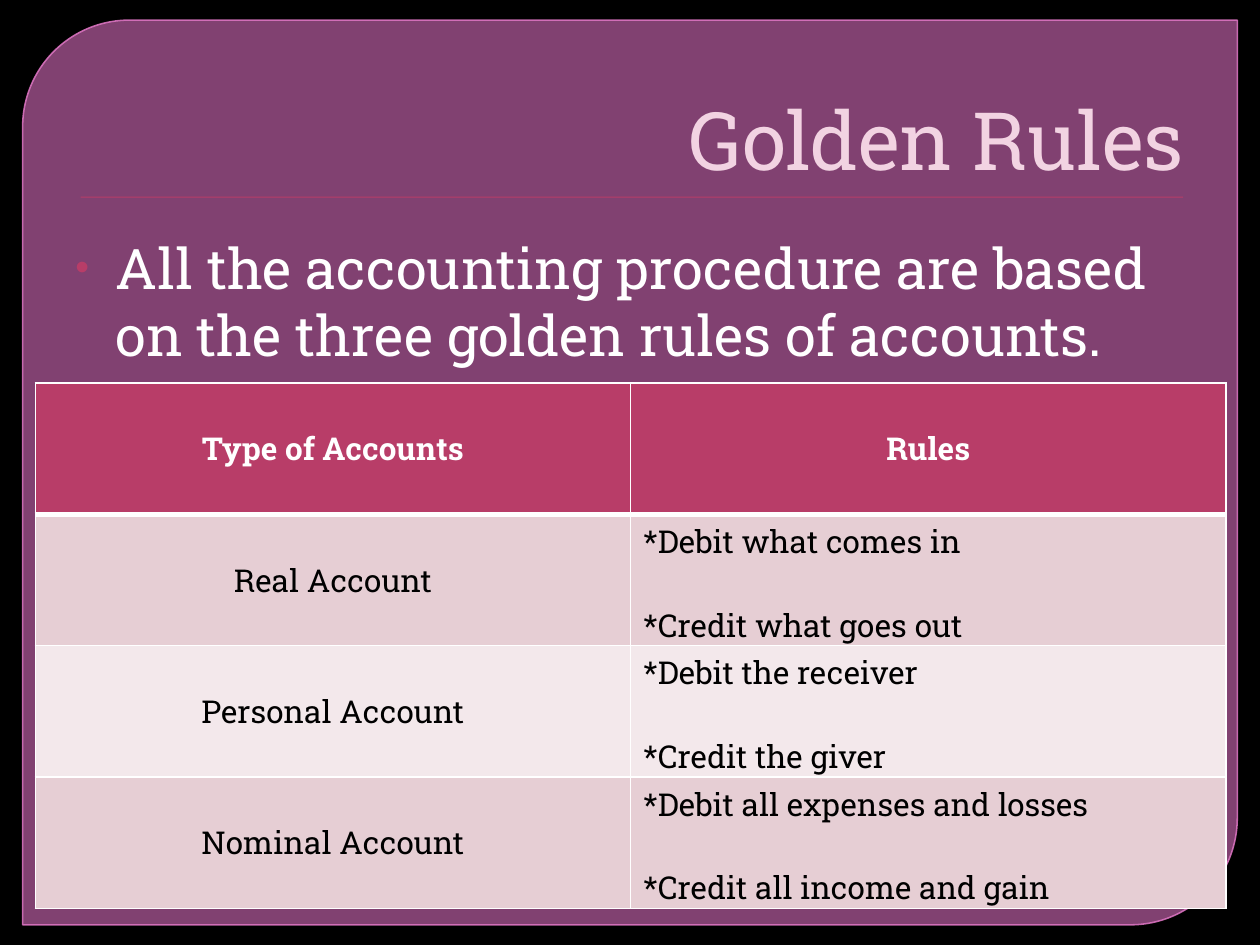
from dataclasses import dataclass

from lxml import etree
from pptx import Presentation
from pptx.dml.color import RGBColor
from pptx.enum.shapes import MSO_SHAPE
from pptx.enum.text import MSO_ANCHOR, MSO_AUTO_SIZE, PP_ALIGN
from pptx.oxml.ns import qn
from pptx.util import Inches, Pt

RECTANGLE = MSO_SHAPE.RECTANGLE
DIAGONAL_ROUNDED = MSO_SHAPE.ROUND_2_DIAG_RECTANGLE
LEFT, CENTER, RIGHT = PP_ALIGN.LEFT, PP_ALIGN.CENTER, PP_ALIGN.RIGHT
TOP, MIDDLE, BOTTOM = MSO_ANCHOR.TOP, MSO_ANCHOR.MIDDLE, MSO_ANCHOR.BOTTOM
NO_AUTOFIT = MSO_AUTO_SIZE.NONE
TITLE_ONLY = 5


@dataclass(frozen=True)
class Theme:
    font: str = "Roboto Slab"
    background: str = "000000"
    panel: str = "C764AF"
    panel_line: str = "DD75C2"
    accent: str = "B83D68"
    title: str = "F2D3E2"
    light: str = "FFFFFF"
    dark: str = "000000"
    bands: tuple = ("E6CED4", "F3E8EB")
    title_size: int = 46
    body_size: int = 32
    table_size: int = 18
    rule_gap: int = 24


def add_element(parent, tag, **attributes):
    """Append an XML child with the given attributes."""
    values = {name: str(value) for name, value in attributes.items()}
    return etree.SubElement(parent, qn(tag), values)


def set_opacity(color_format, percent):
    color = color_format._xFill.find(qn("a:srgbClr"))
    add_element(color, "a:alpha", val=percent * 1000)


class SlideBuilder:
    def __init__(self, presentation, theme):
        self.theme = theme
        self.slide = presentation.slides.add_slide(
            presentation.slide_layouts[TITLE_ONLY])
        fill = self.slide.background.fill
        fill.solid()
        fill.fore_color.rgb = RGBColor.from_string(theme.background)

    def format_text(self, paragraph, size, color, align=LEFT, bold=False):
        paragraph.alignment = align
        for run in paragraph.runs:
            run.font.name = self.theme.font
            run.font.size = Pt(size)
            run.font.bold = bold
            run.font.color.rgb = RGBColor.from_string(color)

    def add_shape(self, kind, box, color):
        shape = self.slide.shapes.add_shape(kind, *map(Inches, box))
        shape.shadow.inherit = False
        shape.fill.solid()
        shape.fill.fore_color.rgb = RGBColor.from_string(color)
        shape.line.fill.background()
        return shape

    def add_panel(self, box):
        shape = self.add_shape(DIAGONAL_ROUNDED, box, self.theme.panel)
        shape.adjustments[0] = 0.118
        shape.adjustments[1] = 0
        shape.line.width = Pt(0.87)
        shape.line.fill.solid()
        shape.line.color.rgb = RGBColor.from_string(self.theme.panel_line)
        properties = shape._element.spPr
        line = properties.find(qn("a:ln"))
        for parent, percent in ((properties, 65), (line, 88)):
            color = parent.find(qn("a:solidFill")).find(qn("a:srgbClr"))
            add_element(color, "a:alpha", val=percent * 1000)

    def add_divider(self, box):
        shape = self.add_shape(RECTANGLE, box, self.theme.accent)
        effects = shape._element.spPr.find(qn("a:effectLst"))
        shadow = add_element(effects, "a:outerShdw", blurRad=Pt(1),
                             dist=Pt(1), dir=90 * 60000, rotWithShape=0)
        color = add_element(shadow, "a:srgbClr", val="000000")
        add_element(color, "a:alpha", val=75000)

    def add_title(self, text, box):
        title = self.slide.shapes.title
        title.left, title.top, title.width, title.height = map(Inches, box)
        # Bring the title in front of the panel
        self.slide.shapes._spTree.append(title._element)
        frame = title.text_frame
        frame.text = text
        frame.auto_size = NO_AUTOFIT
        frame.vertical_anchor = BOTTOM
        self.format_text(frame.paragraphs[0], self.theme.title_size,
                         self.theme.title, RIGHT)

    def add_bullet(self, text, box):
        frame = self.slide.shapes.add_textbox(*map(Inches, box)).text_frame
        frame.word_wrap = True
        frame.text = text
        paragraph = frame.paragraphs[0]
        self.format_text(paragraph, self.theme.body_size, self.theme.light)
        properties = paragraph._p.get_or_add_pPr()
        properties.set("marL", str(Inches(0.32)))
        properties.set("indent", str(Inches(-0.32)))
        color = add_element(properties, "a:buClr")
        add_element(color, "a:srgbClr", val=self.theme.accent)
        add_element(properties, "a:buSzPct", val=70000)
        add_element(properties, "a:buFont", typeface="Arial")
        add_element(properties, "a:buChar", char="•")

    def set_borders(self, cell, top, bottom):
        properties = cell._tc.get_or_add_tcPr()
        for side, width in (("L", 1), ("R", 1), ("T", top), ("B", bottom)):
            line = add_element(properties, f"a:ln{side}", w=Pt(width))
            fill = add_element(line, "a:solidFill")
            add_element(fill, "a:srgbClr", val=self.theme.light)

    def add_table(self, rows, box):
        theme = self.theme
        table = self.slide.shapes.add_table(
            len(rows), len(rows[0]), *map(Inches, box)).table
        for row_index, row in enumerate(rows):
            header = row_index == 0
            fill = theme.accent if header else theme.bands[(row_index - 1) % 2]
            for column_index, text in enumerate(row):
                cell = table.cell(row_index, column_index)
                centered = header or column_index == 0
                cell.text_frame.text = text
                cell.vertical_anchor = MIDDLE if centered else TOP
                for index, paragraph in enumerate(cell.text_frame.paragraphs):
                    self.format_text(paragraph, theme.table_size,
                                     theme.light if header else theme.dark,
                                     CENTER if centered else LEFT, header)
                    if index:
                        paragraph.space_before = Pt(theme.rule_gap)
                # The line under the header is heavier
                self.set_borders(cell, 3 if row_index == 1 else 1,
                                 3 if header else 1)
                cell.fill.solid()
                cell.fill.fore_color.rgb = RGBColor.from_string(fill)


def main():
    presentation = Presentation()
    presentation.slide_width = Inches(10)
    presentation.slide_height = Inches(7.5)
    builder = SlideBuilder(presentation, Theme())

    # Backdrop
    builder.add_panel((0.18, 0.16, 9.64, 7.18))
    builder.add_divider((0.64, 1.56, 8.75, 0.01))

    # Heading and introduction
    builder.add_title("Golden Rules", (0.5, 0.28, 9, 1.25))
    builder.add_bullet("All the accounting procedure are based on the three "
                       "golden rules of accounts.", (0.5, 1.8, 9, 4.95))

    # Rules for each type of account
    builder.add_table([
        ("Type of Accounts", "Rules"),
        ("Real Account", "*Debit what comes in\n*Credit what goes out"),
        ("Personal Account", "*Debit the receiver\n*Credit the giver"),
        ("Nominal Account",
         "*Debit all expenses and losses\n*Credit all income and gain"),
    ], (0.28, 3.04, 9.45, 4.17))

    presentation.save("out.pptx")


if __name__ == "__main__":
    main()
